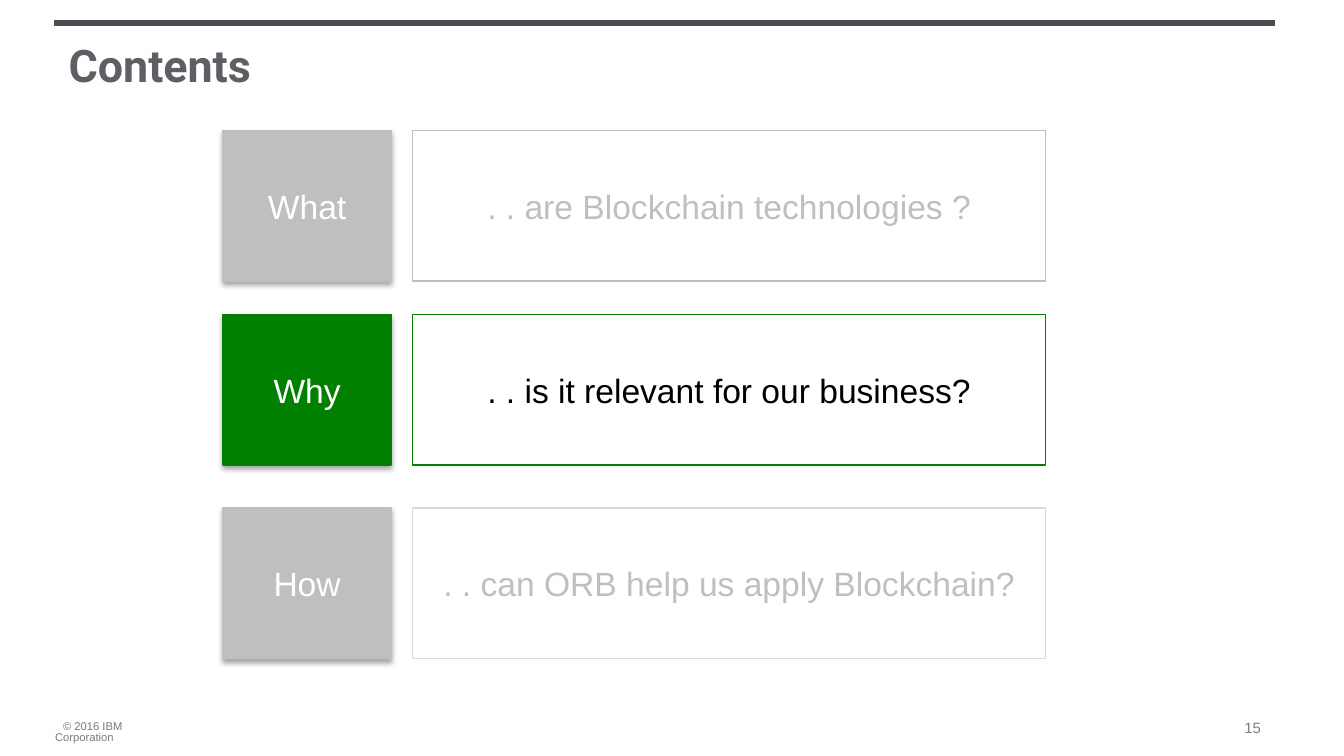
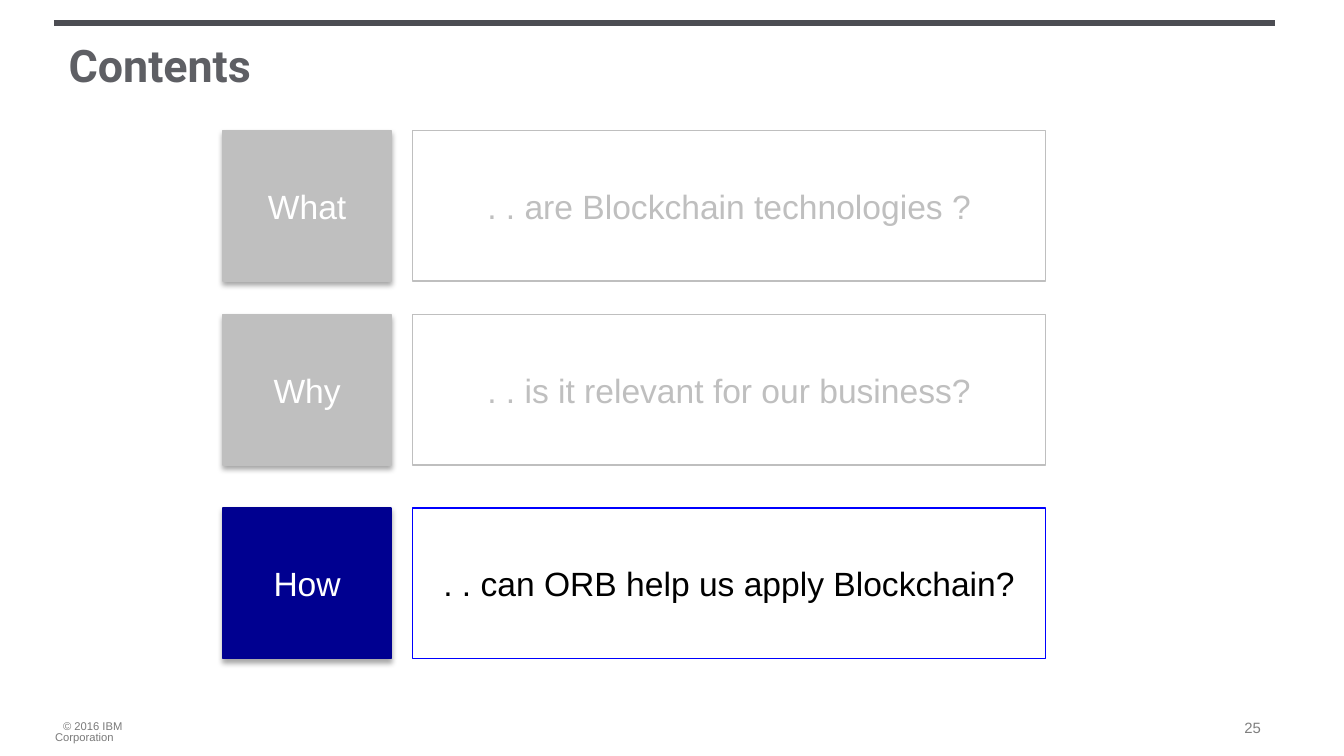
import pptx
import pptx.util
import pptx.dml.color
import pptx.enum.shapes
import pptx.enum.text
import pptx.oxml
import pptx.oxml.ns

Inches = pptx.util.Inches
Pt = pptx.util.Pt
ALIGN = pptx.enum.text.PP_ALIGN
ANCHOR = pptx.enum.text.MSO_ANCHOR

COLORS = {
    "rule": "4C4D53",
    "title": "5E5F64",
    "copyright": "7A7A7A",
    "number": "7F7F7F",
    "dim": "BFBFBF",
    "pale": "D9D9D9",
    "green": "008000",
    "navy": "000090",
    "blue": "0000FF",
    "white": "FFFFFF",
    "black": "000000",
}
QUESTIONS = [
    ("What", ". . are Blockchain technologies ?", 0.97),
    ("Why", ". . is it relevant for our business?", 2.34),
    ("How", ". . can ORB help us apply Blockchain?", 3.78),
]
DIM = ("dim", "dim", "dim")
DIM_PALE = ("dim", "pale", "dim")
WHY_ACTIVE = ("green", "green", "black")
HOW_ACTIVE = ("navy", "blue", "black")
SLIDES = [
    (15, [DIM, WHY_ACTIVE, DIM_PALE]),
    (25, [DIM, DIM, HOW_ACTIVE]),
]


def rgb(name):
    """Return the named palette colour."""
    return pptx.dml.color.RGBColor.from_string(COLORS[name])


def style(p, text, size, color, font="Arial", bold=False):
    """Fill a paragraph and set its font."""
    p.text = text
    p.font.name = font
    p.font.size = Pt(size)
    p.font.bold = bold
    p.font.color.rgb = rgb(color)


def set_effects(shape, inner=""):
    """Give a shape an explicit effect list."""
    xml = f'<a:effectLst {pptx.oxml.ns.nsdecls("a")}>{inner}</a:effectLst>'
    shape._element.spPr.append(pptx.oxml.parse_xml(xml))


def add_shadow(shape):
    """Add a soft shadow straight below a shape."""
    set_effects(
        shape,
        f'<a:outerShdw blurRad="{Pt(3.1)}" dist="{Pt(1.8)}" dir="5400000" rotWithShape="0">'
        f'<a:srgbClr val="{COLORS["black"]}"><a:alpha val="35000"/></a:srgbClr></a:outerShdw>',
    )


def add_box(s, left, top, width, height, text, line, color, fill=None):
    """Add a rectangle with centred text, shadowed when filled."""
    sp = s.shapes.add_shape(
        pptx.enum.shapes.MSO_SHAPE.RECTANGLE,
        Inches(left), Inches(top), Inches(width), Inches(height),
    )
    sp.line.color.rgb = rgb(line)
    sp.line.width = Pt(0.75)
    if fill:
        sp.fill.solid()
        sp.fill.fore_color.rgb = rgb(fill)
        add_shadow(sp)
    else:
        sp.fill.background()
        sp.shadow.inherit = False
    tf = sp.text_frame
    tf.word_wrap = True
    tf.vertical_anchor = ANCHOR.MIDDLE
    p = tf.paragraphs[0]
    p.alignment = ALIGN.CENTER
    style(p, text, 18, color)


def add_question(s, left, top, width, height, word, question, look):
    """Place a key word tile and its question side by side."""
    tile, gap = 1.25, 0.16
    fill, line, color = look
    add_box(s, left, top, tile, height, word, fill, "white", fill)
    add_box(s, left + tile + gap, top, width - tile - gap, height, question, line, color)


def add_header(s, left, top, width):
    """Draw the top rule and format the title below it."""
    rule = s.shapes.add_connector(
        pptx.enum.shapes.MSO_CONNECTOR.STRAIGHT,
        Inches(left), Inches(top), Inches(left + width), Inches(top),
    )
    rule.line.color.rgb = rgb("rule")
    rule.line.width = Pt(3)
    set_effects(rule)
    title = s.shapes.title
    title.left, title.top = Inches(left + 0.01), Inches(top + 0.06)
    title.width, title.height = Inches(9), Inches(0.94)
    tf = title.text_frame
    tf.word_wrap = True
    tf.auto_size = pptx.enum.text.MSO_AUTO_SIZE.NONE
    tf.vertical_anchor = ANCHOR.TOP
    p = tf.paragraphs[0]
    p.alignment = ALIGN.LEFT
    style(p, "Contents", 24, "title", "Roboto", True)


def add_footer(s, left, top, width, number):
    """Place the copyright line at the left and the page number at the right."""
    tf = s.shapes.add_textbox(
        Inches(left), Inches(top + 0.07), Inches(0.91), Inches(0.08)
    ).text_frame
    tf.word_wrap = True
    tf.margin_left = tf.margin_right = tf.margin_top = tf.margin_bottom = 0
    p = tf.paragraphs[0]
    p.line_spacing = 0.8
    p._p.get_or_add_pPr().set("indent", str(Inches(0.06)))
    style(p, "© 2016 IBM Corporation", 6, "copyright")
    box = s.shapes.add_textbox(
        Inches(left + width - 0.34), Inches(top), Inches(0.34), Inches(0.24)
    )
    box.text_frame.word_wrap = False
    style(box.text_frame.paragraphs[0], str(number), 8, "number")


def add_contents(prs, number, looks):
    """Add a contents slide with each question in its given look."""
    s = prs.slides.add_slide(prs.slide_layouts[5])
    add_header(s, 0.4, 0.17, 9.09)
    for (word, question, top), look in zip(QUESTIONS, looks):
        add_question(s, 1.66, top, 6.12, 1.12, word, question, look)
    add_footer(s, 0.41, 5.3, 9.09, number)


def main():
    """Build the presentation."""
    prs = pptx.Presentation()
    prs.slide_width = Inches(10)
    prs.slide_height = prs.slide_width * 9 // 16
    for number, looks in SLIDES:
        add_contents(prs, number, looks)
    prs.save("out.pptx")


if __name__ == "__main__":
    main()
